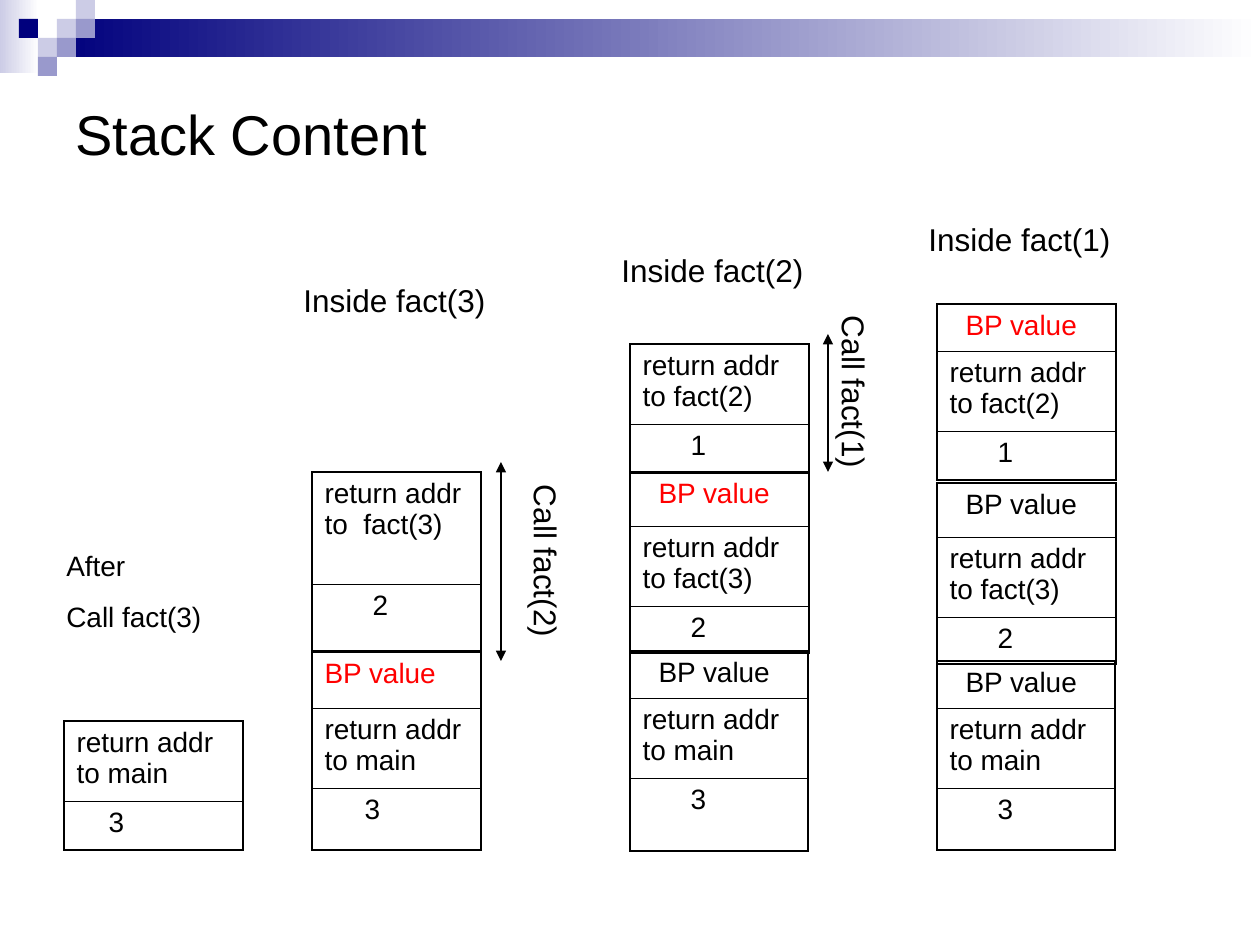
from lxml.etree import SubElement
from pptx import Presentation
from pptx.dml.color import RGBColor
from pptx.enum.shapes import MSO_CONNECTOR, MSO_SHAPE
from pptx.enum.text import MSO_ANCHOR
from pptx.oxml.ns import qn
from pptx.util import Emu, Pt

BLACK, RED, NAVY, LILAC, VIOLET, WHITE = (
    "000000", "FF0000", "00007D", "CCCCE6", "9999CC", "FFFFFF")
OUTER, INNER = 1.08, 0.45
SPACE = 8


def px(length):
    """Turn pixels at 126 to the inch into EMU."""
    return Emu(round(length * 914400 / 126))


def rgb(code):
    """Turn a hex string into a colour."""
    return RGBColor.from_string(code)


def write(frame, text, size, before=0, indent=0, color=BLACK):
    """Fill a text frame, one paragraph for each line."""
    frame.word_wrap = True
    frame.text = text
    for paragraph in frame.paragraphs:
        paragraph.space_before = Pt(before)
        if indent:
            paragraph._p.get_or_add_pPr().set("marL", str(px(indent)))
        for run in paragraph.runs:
            run.font.size = Pt(size)
            run.font.name = "Arial"
            run.font.color.rgb = rgb(color)


def label(slide, box, text, size, before=0, indent=0, rotation=0):
    """Place a text box and return it."""
    caption = slide.shapes.add_textbox(*map(px, box))
    caption.rotation = rotation
    write(caption.text_frame, text, size, before, indent)
    return caption


def block(slide, box, *colors):
    """Draw a borderless rectangle, plain or fading between two colours."""
    rect = slide.shapes.add_shape(MSO_SHAPE.RECTANGLE, *map(px, box))
    rect.shadow.inherit = False
    rect.line.fill.background()
    if len(colors) == 1:
        rect.fill.solid()
        rect.fill.fore_color.rgb = rgb(colors[0])
        return
    rect.fill.gradient()
    rect.fill.gradient_angle = 0
    for stop, color in zip(rect.fill.gradient_stops, colors):
        stop.color.rgb = rgb(color)


def header(slide, left, top, width):
    """Draw the fading bar and its checker of small squares."""
    side = 19
    block(slide, (left, top, 39, 73), LILAC, WHITE)
    block(slide, (left + 3 * side, top + side, width - 3 * side, 2 * side), NAVY, WHITE)
    squares = [(3, 1, LILAC), (4, 0, LILAC), (4, 1, VIOLET), (2, 2, LILAC),
               (1, 1, NAVY), (3, 2, VIOLET), (2, 3, VIOLET)]
    for column, row, color in squares:
        block(slide, (left + column * side, top + row * side, side, side), color)


def cell_borders(cell, top, bottom):
    """Rule the four sides of a cell."""
    properties = cell._tc.get_or_add_tcPr()
    sides = [("L", OUTER), ("R", OUTER), ("T", top), ("B", bottom)]
    for place, (side, weight) in enumerate(sides):
        line = SubElement(properties, qn(f"a:ln{side}"), w=str(Pt(weight)))
        SubElement(SubElement(line, qn("a:solidFill")), qn("a:srgbClr"), val=BLACK)
        properties.insert(place, line)


def stack_frame(slide, left, top, width, entries):
    """Draw one frame of the stack from (text, height, spaces, colour) entries."""
    height = sum(entry[1] for entry in entries)
    table = slide.shapes.add_table(
        len(entries), 1, *map(px, (left, top, width, height))).table
    table.first_row = table.horz_banding = False
    last = len(entries) - 1
    for index, (text, row_height, spaces, color) in enumerate(entries):
        table.rows[index].height = px(row_height)
        cell = table.cell(index, 0)
        cell.fill.background()
        write(cell.text_frame, text, 16, 4, spaces * SPACE, color)
        cell_borders(cell, INNER if index else OUTER, INNER if index < last else OUTER)


def base_pointer(height, spaces=2, color=BLACK):
    """Describe a saved base pointer entry."""
    return "BP value", height, spaces, color


def return_address(target, height=80):
    """Describe a return address entry."""
    return f"return addr to {target}", height, 0, BLACK


def argument(value, height, spaces=6):
    """Describe an argument entry."""
    return str(value), height, spaces, BLACK


def stack(slide, left, frames):
    """Draw a column of frames, each given by top, width and entries."""
    for top, width, entries in frames:
        stack_frame(slide, left, top, width, entries)


def call_span(slide, x, top, bottom, up_start, down_start):
    """Mark the extent of a call with an arrow up and an arrow down."""
    for start, end in [(down_start, bottom), (up_start, top)]:
        arrow = slide.shapes.add_connector(
            MSO_CONNECTOR.STRAIGHT, *map(px, (x, start, x, end)))
        arrow.line.color.rgb = rgb(BLACK)
        arrow.line.width = Pt(0.75)
        SubElement(arrow.line._get_or_add_ln(), qn("a:tailEnd"), type="triangle")
        SubElement(arrow._element.spPr, qn("a:effectLst"))


def stack_slide(slide):
    """Lay out the stack at each depth of the recursion."""
    header(slide, 0, 0, 1260)
    title = label(slide, (63, 63, 1102, 141), "Stack Content", 32)
    title.text_frame.vertical_anchor = MSO_ANCHOR.MIDDLE

    stack(slide, 64, [(721, 179, [return_address("main"), argument(3, 49, 4)])])
    stack(slide, 312, [
        (472, 169, [return_address(" fact(3)", 112), argument(2, 67)]),
        (652, 169, [base_pointer(56, 0, RED), return_address("main"),
                    argument(3, 62, 5)])])
    stack(slide, 630, [
        (651, 178, [base_pointer(47), return_address("main"), argument(3, 73)]),
        (472, 179, [base_pointer(54, 2, RED), return_address("fact(3)"),
                    argument(2, 47)]),
        (344, 179, [return_address("fact(2)"), argument(1, 49)])])
    stack(slide, 937, [
        (661, 178, [base_pointer(47), return_address("main"), argument(3, 62)]),
        (483, 179, [base_pointer(54), return_address("fact(3)"), argument(2, 47)]),
        (304, 179, [base_pointer(47, 2, RED), return_address("fact(2)"),
                    argument(1, 49)])])

    label(slide, (54, 542, 179, 97), "After\nCall fact(3)", 16, 10)
    for depth, left, top in [(3, 282, 275), (2, 600, 245), (1, 907, 214)]:
        label(slide, (left, top, 228, 50), f"Inside fact({depth})", 18, 11.2, 9)
    for depth, left, top in [(2, 452, 542), (1, 760, 373)]:
        label(slide, (left, top, 189, 50), f"Call fact({depth})", 18, 11.2, rotation=90)
    call_span(slide, 501, 462, 661, 542, 532)
    call_span(slide, 828, 334, 472, 373, 344)


def main():
    """Build and save the presentation."""
    deck = Presentation()
    deck.slide_width, deck.slide_height = px(1260), px(945)
    stack_slide(deck.slides.add_slide(deck.slide_layouts[6]))
    deck.save("out.pptx")


if __name__ == "__main__":
    main()
